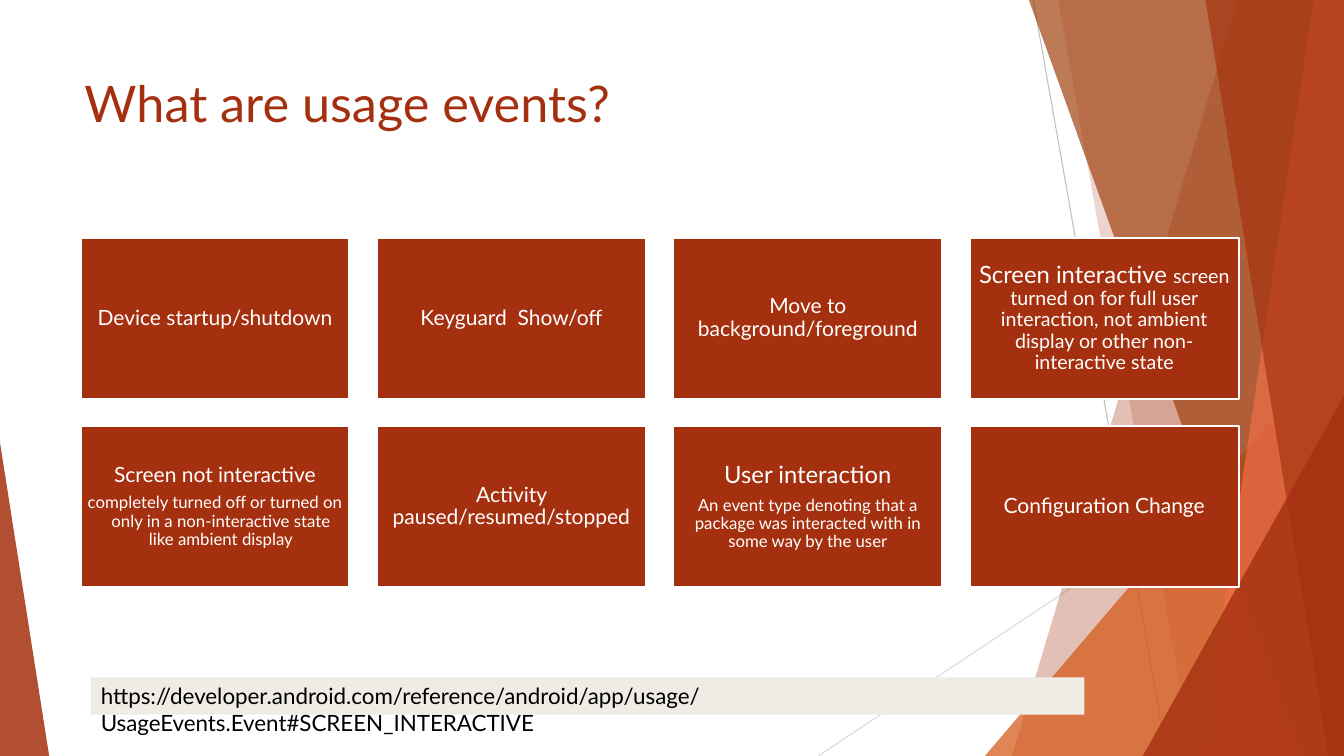
from lxml import etree
from pptx import Presentation
from pptx.dml.color import RGBColor
from pptx.enum.shapes import MSO_CONNECTOR, MSO_SHAPE
from pptx.enum.text import MSO_ANCHOR, PP_ALIGN
from pptx.oxml.ns import qn
from pptx.util import Cm, Pt

RECT, TRIANGLE = MSO_SHAPE.RECTANGLE, MSO_SHAPE.ISOSCELES_TRIANGLE
STRAIGHT = MSO_CONNECTOR.STRAIGHT
TOP, MIDDLE = MSO_ANCHOR.TOP, MSO_ANCHOR.MIDDLE
LEFT, CENTER = PP_ALIGN.LEFT, PP_ALIGN.CENTER
WIDTH, HEIGHT = 33.87, 19.05
RUST, ORANGE, BROWN, CORAL = "A5300F", "D55816", "A04210", "EE6E4A"
WHITE, BLACK, SAND = "FFFFFF", "000000", "EFEBE5"
FONT = "Lato"


def rgb(color):
    return RGBColor.from_string(color)


def apply_format(target, values):
    for name, value in values.items():
        setattr(target, name, value)


class Deck:
    def __init__(self):
        self.prs = Presentation()
        apply_format(self.prs, {"slide_width": Cm(WIDTH), "slide_height": Cm(HEIGHT)})
        self.slide = self.prs.slides.add_slide(self.prs.slide_layouts[6])
        self.shapes = self.slide.shapes

    def paint(self, sp, fill, alpha=100, line=None):
        sp.shadow.inherit = False
        sp.fill.solid()
        sp.fill.fore_color.rgb = rgb(fill)
        if alpha < 100:
            color = sp._element.spPr.find(qn("a:solidFill"))[0]
            etree.SubElement(color, qn("a:alpha"), val=str(alpha * 1000))
        if line:
            sp.line.color.rgb = rgb(line)
            sp.line.width = Pt(1.5)
        else:
            sp.line.fill.background()

    def line(self, start, end, color):
        cx = self.shapes.add_connector(STRAIGHT, *map(Cm, start + end))
        cx.line.color.rgb = rgb(color)
        cx.line.width = Pt(0.75)
        etree.SubElement(cx._element.spPr, qn("a:effectLst"))

    def band(self, top_x, bottom_x, color, alpha):
        points = [(WIDTH, 0), (WIDTH, HEIGHT), (bottom_x, HEIGHT)]
        fb = self.shapes.build_freeform(Cm(top_x), 0)
        fb.add_line_segments([(Cm(x), Cm(y)) for x, y in points])
        self.paint(fb.convert_to_shape(), color, alpha)

    def triangle(self, box, apex, color, alpha):
        sp = self.shapes.add_shape(TRIANGLE, *map(Cm, box))
        sp.adjustments[0] = apex
        self.paint(sp, color, alpha)

    def rect(self, box, fill, line=None):
        sp = self.shapes.add_shape(RECT, *map(Cm, box))
        self.paint(sp, fill, line=line)
        return sp

    def textbox(self, box):
        return self.shapes.add_textbox(*map(Cm, box))

    def add_text(self, sp, paragraphs, color, frame, para):
        tf = sp.text_frame
        apply_format(tf, {"word_wrap": True, **frame})
        for i, runs in enumerate(paragraphs):
            p = tf.add_paragraph() if i else tf.paragraphs[0]
            apply_format(p, para)
            for text, size in runs:
                r = p.add_run()
                r.text = text
                apply_format(r.font, {"name": FONT, "size": Pt(size)})
                r.font.color.rgb = rgb(color)

    def card(self, col, row, paragraphs, hanging=False):
        box = 2.03 + 7.47 * col, 5.99 + 4.75 * row, 6.78, 4.06
        sp = self.rect(box, RUST, WHITE)
        size = paragraphs[0][0][1]
        inset = Cm(0.15 if size < 17 else 0.18)
        frame = {f"margin_{side}": inset for side in ("left", "top", "right", "bottom")}
        frame["vertical_anchor"] = MIDDLE
        para = {"alignment": CENTER, "line_spacing": 0.9, "space_after": Pt(round(size * 0.35))}
        self.add_text(sp, paragraphs, WHITE, frame, para)
        if hanging:
            pPr = sp.text_frame.paragraphs[-1]._p.get_or_add_pPr()
            pPr.set("marL", str(Cm(0.3)))
            pPr.set("indent", str(Cm(-0.3)))


CARDS = [
    [[("Device startup/shutdown", 15)]],
    [[("Keyguard  Show/off", 15)]],
    [[("Move to background/foreground", 15)]],
    [[("Screen interactive ", 17),
      ("screen turned on for full user interaction, not ambient display "
       "or other non-interactive state", 14)]],
    [[("Screen not interactive", 15)],
     [("completely turned off or turned on only in a non-interactive state "
       "like ambient display", 12)]],
    [[("Activity paused/resumed/stopped", 15)]],
    [[("User interaction", 17)],
     [("An event type denoting that a package was interacted with in some way "
       "by the user", 12)]],
    [[("Configuration Change", 15)]],
]
HANGING_CARD = 4
URL = ("https://developer.android.com/reference/android/app/usage/"
       "UsageEvents.Event#SCREEN_INTERACTIVE")


def main():
    deck = Deck()
    deck.line((26.04, 0), (29.41, HEIGHT), "BFBFBF")
    deck.line((WIDTH, 10.24), (20.62, HEIGHT), "D9D9D9")
    deck.band(31.19, 25.5, RUST, 30)
    deck.band(26.67, 30.05, RUST, 20)
    deck.triangle((24.82, 8.46, 9.05, 10.59), 1, ORANGE, 72)
    deck.band(25.93, 32.79, BROWN, 70)
    deck.band(33.1, 30.28, CORAL, 70)
    deck.band(30.38, 33.48, RUST, 65)
    deck.triangle((28.8, 9.98, 5.07, 9.07), 1, RUST, 80)
    deck.triangle((0, 11.15, 1.24, 7.9), 0, RUST, 85)

    plain = {"vertical_anchor": TOP}, {"alignment": LEFT}
    title = deck.textbox((1.88, 1.7, 23.88, 3.66))
    deck.add_text(title, [[("What are usage events?", 36)]], RUST, *plain)
    for i, paragraphs in enumerate(CARDS):
        row, col = divmod(i, 4)
        deck.card(col, row, paragraphs, i == HANGING_CARD)
    source = deck.rect((2.29, 17.07, 25.04, 0.94), SAND)
    deck.add_text(source, [[(URL, 16)]], BLACK, *plain)
    deck.prs.save("out.pptx")


if __name__ == "__main__":
    main()
